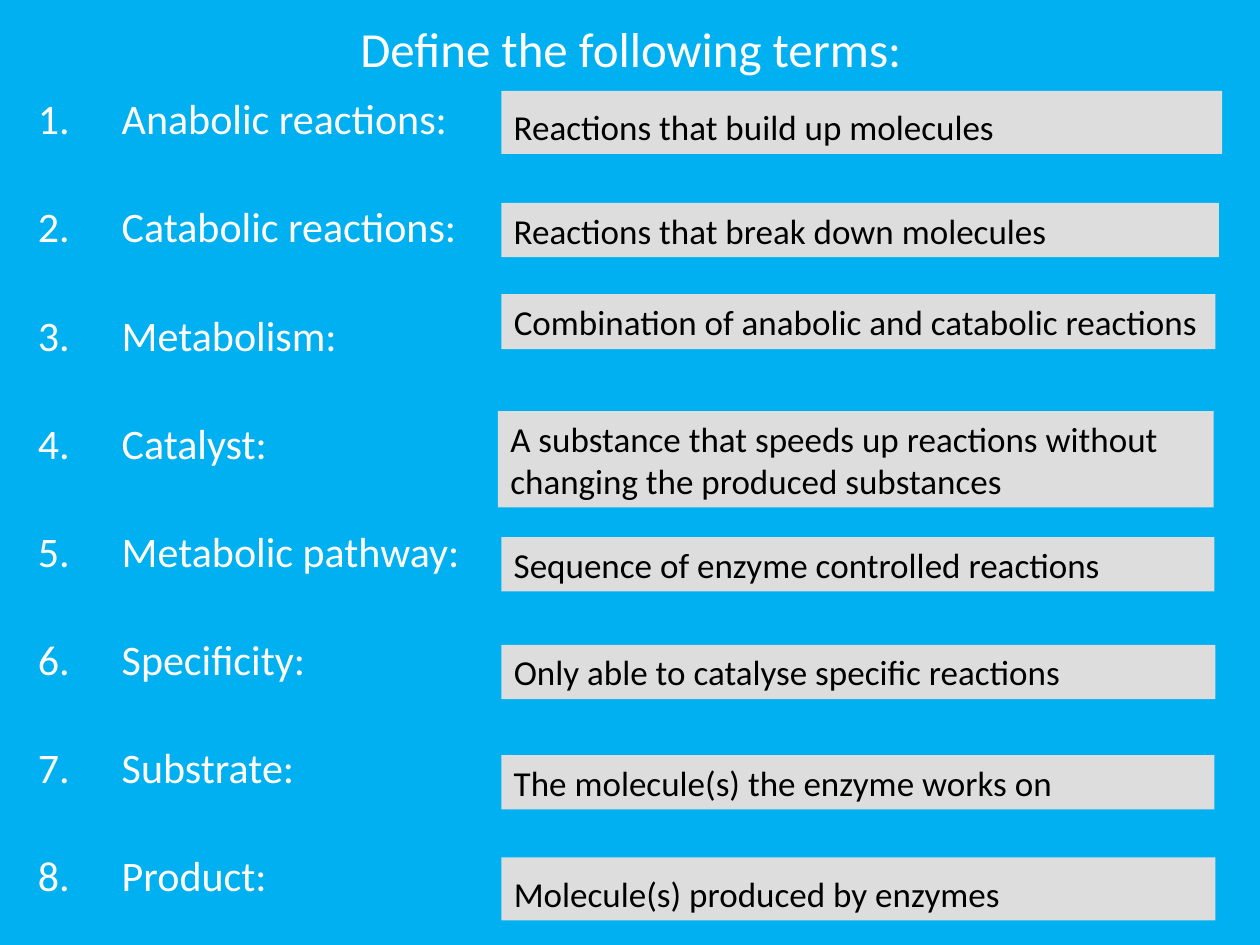
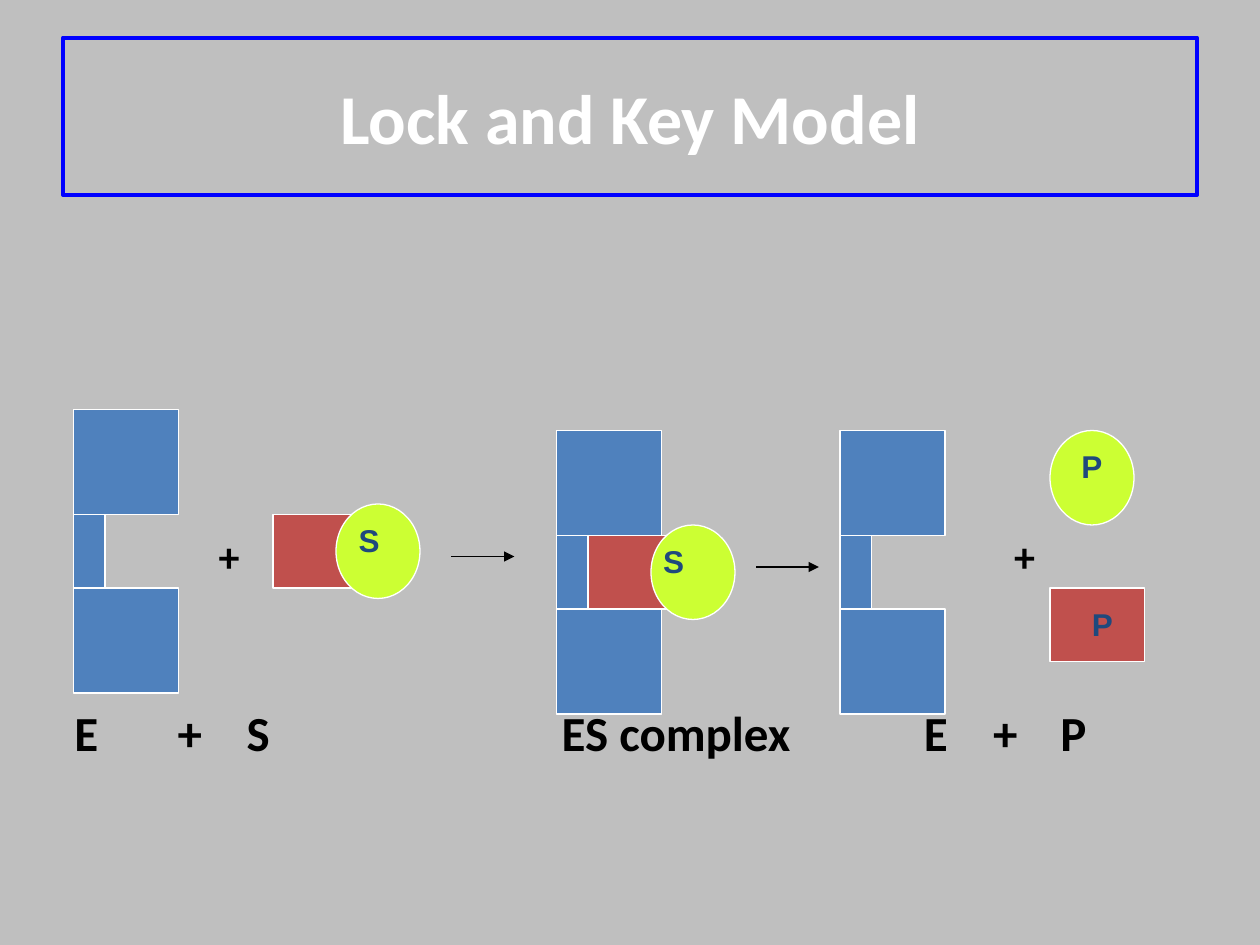
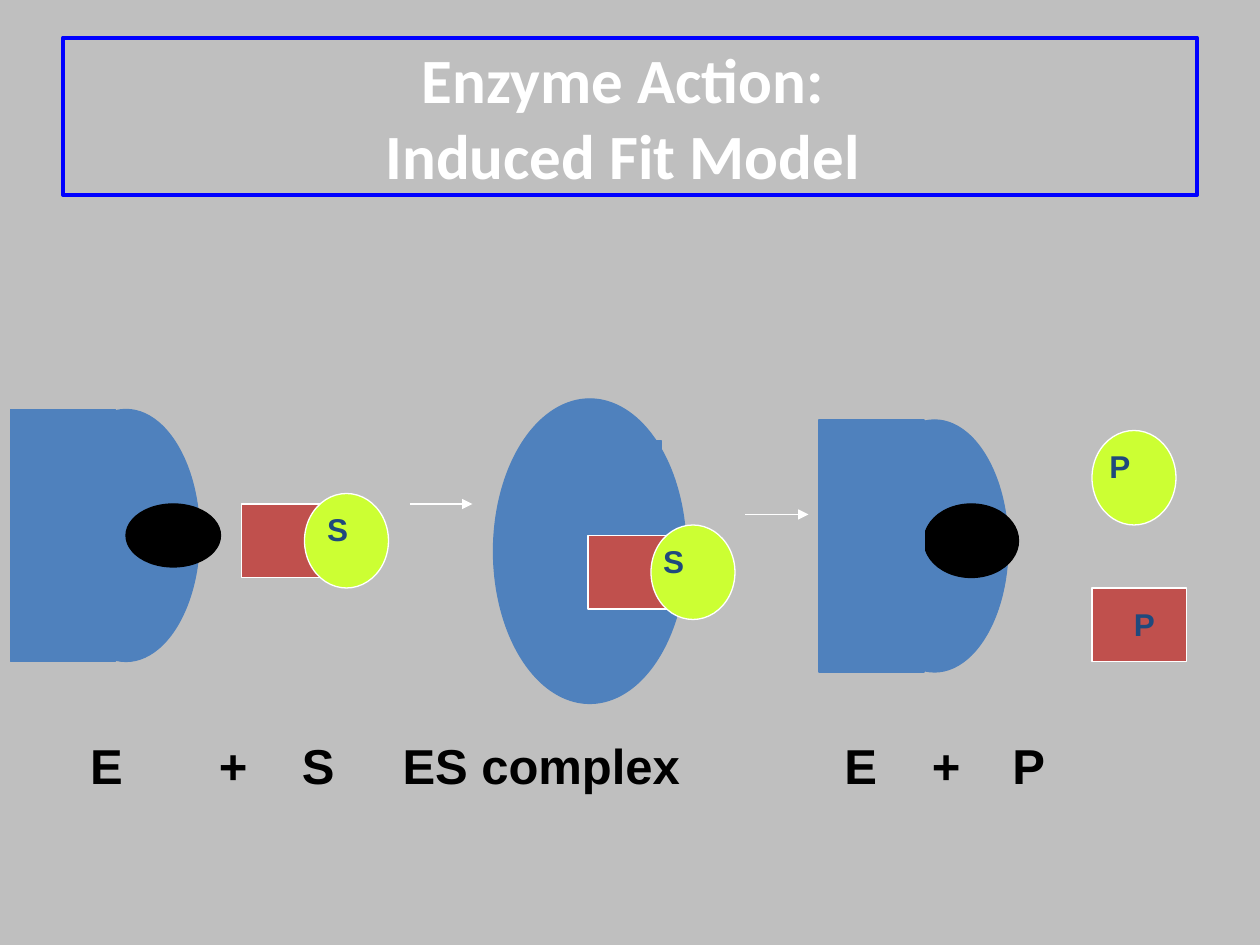
"""Build three slides on enzyme terms and models of enzyme action."""
import dataclasses
import pptx
import pptx.dml.color
import pptx.enum.shapes
import pptx.enum.text
import pptx.oxml.ns
import pptx.util
from lxml import etree

Pt = pptx.util.Pt
RGB = pptx.dml.color.RGBColor.from_string
Shape = pptx.enum.shapes.MSO_SHAPE
Anchor = pptx.enum.text.MSO_ANCHOR
Align = pptx.enum.text.PP_ALIGN
qn = pptx.oxml.ns.qn


@dataclasses.dataclass(frozen=True)
class Theme:
    sky: str = "00B0F0"
    grey: str = "BFBFBF"
    pale: str = "DDDDDD"
    white: str = "FFFFFF"
    black: str = "000000"
    frame: str = "0000FF"
    blue: str = "4F81BD"
    red: str = "C0504D"
    lime: str = "CCFF33"
    navy: str = "1F497D"
    sans: str = "Calibri"
    plain: str = "Arial"
    head: int = 28
    list: int = 24
    body: int = 20
    mark: int = 18
    label: int = 28
    thin: float = 0.75
    thick: float = 2.25


theme = Theme()


def write(shape, text, size, color=theme.black, font=theme.sans, bold=False, align=Align.LEFT,
          anchor=Anchor.TOP, wrap=True, inset=True, gap=0, number=0, tabs=()):
    """Fill a shape with text, one paragraph a line."""
    frame = shape.text_frame
    frame.word_wrap = wrap
    frame.auto_size = pptx.enum.text.MSO_AUTO_SIZE.NONE
    frame.vertical_anchor = anchor
    if not inset:
        frame.margin_left = frame.margin_right = frame.margin_top = frame.margin_bottom = 0
    for row, line in enumerate(text.split("\n")):
        para = frame.add_paragraph() if row else frame.paragraphs[0]
        para.text = line
        para.alignment = align
        para.space_before = Pt(gap if row else 0)
        props = para._p.get_or_add_pPr()
        if number:
            props.set("marL", str(Pt(number)))
            props.set("indent", str(-Pt(number)))
            etree.SubElement(props, qn("a:buFont"), typeface="+mj-lt")
            etree.SubElement(props, qn("a:buAutoNum"), type="arabicPeriod")
        if tabs:
            stops = etree.SubElement(props, qn("a:tabLst"))
            for stop in tabs:
                etree.SubElement(stops, qn("a:tab"), pos=str(Pt(stop)), algn="l")
        for part in [para, *para.runs]:
            part.font.name = font
            part.font.size = Pt(size)
            part.font.bold = bold
            part.font.color.rgb = RGB(color)


def draw(slide, kind, left, top, width, height, fill, line=None):
    """Add a flat filled shape and return it."""
    shape = slide.shapes.add_shape(kind, Pt(left), Pt(top), Pt(width), Pt(height))
    shape.shadow.inherit = False
    shape.fill.solid()
    shape.fill.fore_color.rgb = RGB(fill)
    if line:
        shape.line.color.rgb = RGB(line)
        shape.line.width = Pt(theme.thin)
    else:
        shape.line.fill.background()
    return shape


deck = pptx.Presentation()
deck.slide_width, deck.slide_height = Pt(720), Pt(540)
pages = []
for back, title, size, bold, box in [
    (theme.sky, "Define the following terms:", theme.head, False, (36.5, 0, 648, 55)),
    (theme.grey, "Lock and Key Model", 40, True, (36, 21.5, 648, 90)),
    (theme.grey, "Enzyme Action: \vInduced Fit Model ", 36, True, (36, 21.5, 648, 90)),
]:
    page = deck.slides.add_slide(deck.slide_layouts[5])
    page.background.fill.solid()
    page.background.fill.fore_color.rgb = RGB(back)
    head = page.shapes.title
    head.left, head.top, head.width, head.height = map(Pt, box)
    write(head, title, size, theme.white, bold=bold, align=Align.CENTER, anchor=Anchor.MIDDLE)
    if back == theme.grey:
        head.line.color.rgb = RGB(theme.frame)
        head.line.width = Pt(theme.thick)
    pages.append(page)
terms, lock, fit = pages

facts = [
    ("Anabolic reactions:", "Reactions that build up molecules", 286.5, 52, 412, 36),
    ("Catabolic reactions:", "Reactions that break down molecules", 286.5, 116, 410, 31),
    ("Metabolism:", "Combination of anabolic and catabolic reactions", 286.5, 168, 408, 31.5),
    ("Catalyst:", "A substance that speeds up reactions without changing the produced substances",
     284.5, 235, 409, 55),
    ("Metabolic pathway:", "Sequence of enzyme controlled reactions", 286.5, 307, 407.5, 31),
    ("Specificity:", "Only able to catalyse specific reactions", 286.5, 368.5, 408, 31),
    ("Substrate:", "The molecule(s) the enzyme works on", 286.5, 431.5, 407.5, 31),
    ("Product:", "Molecule(s) produced by enzymes", 286.5, 490, 408, 36),
]
names = terms.shapes.add_textbox(Pt(14.5), Pt(49.5), Pt(272), Pt(476.5))
write(names, "\n".join(fact[0] for fact in facts), theme.list, theme.white, gap=33, number=48)
for name, sense, *box in facts:
    card = draw(terms, Shape.RECTANGLE, *box, theme.pale)
    write(card, sense, theme.body, anchor=Anchor.BOTTOM)

for left, top in [(42, 234), (318, 246), (480, 246)]:
    for down, width, height in [(102, 60, 60), (0, 60, 60), (60, 18, 42)]:
        draw(lock, Shape.RECTANGLE, left, top + down, width, height, theme.blue, theme.white)

for left, top, site, depth in [(6, 234, 72, 36), (468, 240, 528, 42)]:
    draw(fit, Shape.OVAL, left + 24, top, 84, 144, theme.blue, theme.blue)
    draw(fit, Shape.OVAL, site, 288, 54, depth, theme.black, theme.black)
    draw(fit, Shape.RECTANGLE, left, top, 60, 144, theme.blue, theme.blue)
draw(fit, Shape.RECTANGLE, 318, 252, 60, 54, theme.blue, theme.blue)
draw(fit, Shape.OVAL, 282, 228, 110, 174, theme.blue, theme.blue)

for page, block, disc, mark in [
    (lock, (156, 294), (192, 288), ("S", 205, 297.5)),
    (lock, (336, 306), (372, 300), ("S", 379, 309.5)),
    (lock, (600, 336), (600, 246), ("P", 618, 255.5)),
    (fit, (138, 288), (174, 282), ("S", 187, 291.5)),
    (fit, (336, 306), (372, 300), ("S", 379, 309.5)),
    (fit, (624, 336), (624, 246), ("P", 634, 255.5)),
]:
    draw(page, Shape.RECTANGLE, *block, 54, 42, theme.red, theme.white)
    draw(page, Shape.OVAL, *disc, 48, 54, theme.lime, theme.white)
    sign, left, top = mark
    spots = [(left, top)]
    if sign == "P":
        spots.append((block[0] + 24, block[1] + 9.5))
    for x, y in spots:
        tag = page.shapes.add_textbox(Pt(x), Pt(y), Pt(16), Pt(22))
        write(tag, sign, theme.mark, theme.navy, theme.plain, True, wrap=False, inset=False)

for page, left, top, color in [
    (lock, 258, 318, theme.black), (lock, 432, 324, theme.black),
    (fit, 234, 288, theme.white), (fit, 426, 294, theme.white),
]:
    arrow = page.shapes.add_connector(
        pptx.enum.shapes.MSO_CONNECTOR.STRAIGHT, Pt(left), Pt(top), Pt(left + 36), Pt(top))
    arrow.line.color.rgb = RGB(color)
    arrow.line.width = Pt(theme.thin)
    etree.SubElement(arrow.line._get_or_add_ln(), qn("a:tailEnd"), type="triangle")
    etree.SubElement(arrow._element.spPr, qn("a:effectLst"))

steps = "E\t+\tS\tES complex\tE\t+\tP"
for page, text, size, font, top, stops in [
    (lock, "+\t+", theme.list, theme.sans, 303, (125, 579.5)),
    (lock, steps, theme.label, theme.sans, 401.5, (42.5, 101.5, 141, 321, 528, 567.5, 606)),
    (fit, steps, theme.label, theme.plain, 420.5, (51.5, 125, 172.5, 230, 482.5, 532.5, 578.5)),
]:
    start = stops[0]
    row = page.shapes.add_textbox(Pt(start), Pt(top), Pt(660 - start), Pt(35))
    write(row, text, size, font=font, bold=True, inset=False,
          tabs=[stop - start for stop in stops[1:]])

deck.save("out.pptx")
